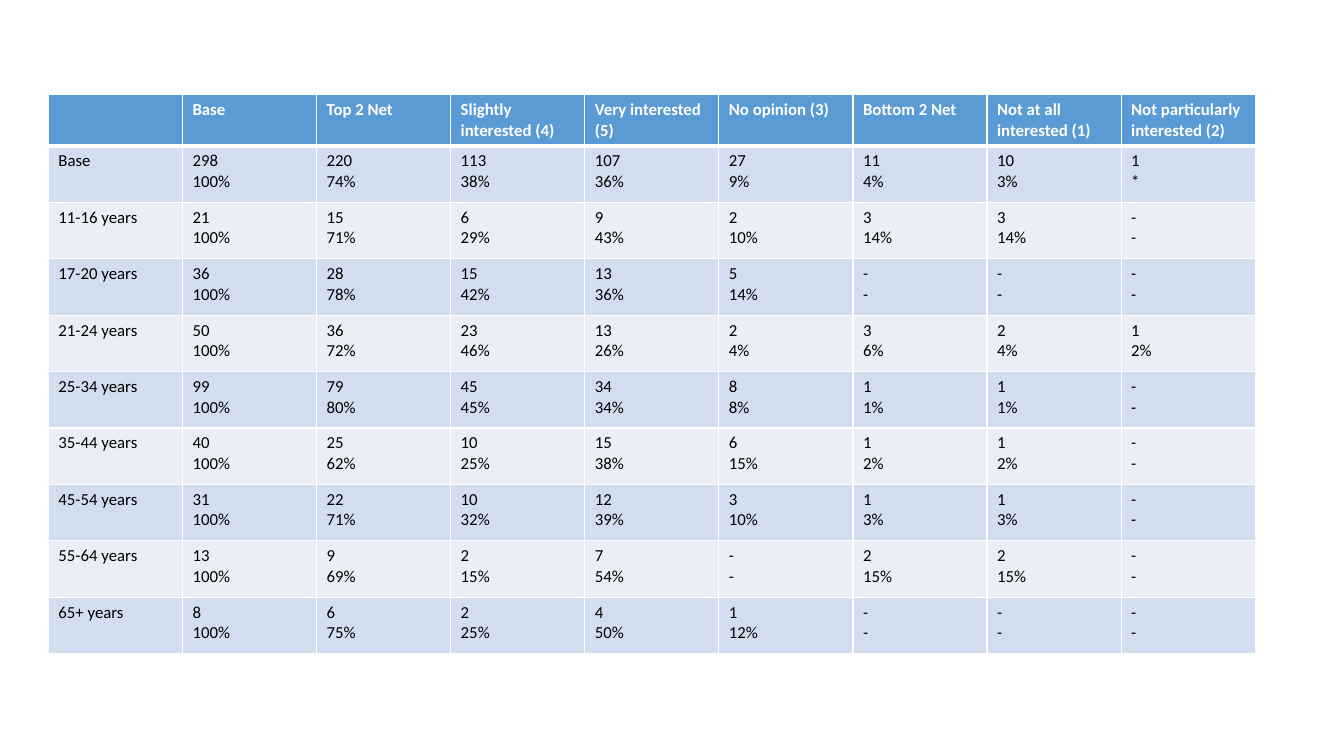
"""Build a slide with a table of interest levels by age group."""
from dataclasses import dataclass

import pptx
import pptx.dml.color
import pptx.oxml
import pptx.oxml.ns
import pptx.table
import pptx.util

SLIDE_WIDTH = pptx.util.Inches(13.33)
SLIDE_HEIGHT = pptx.util.Inches(7.5)
TABLE_LEFT, TABLE_TOP = pptx.util.Inches(0.48), pptx.util.Inches(0.94)
COLUMN_WIDTH = pptx.util.Inches(1.33)
HEADER_HEIGHT = pptx.util.Inches(0.5)
ROW_HEIGHT = pptx.util.Inches(0.56)

WHITE = pptx.dml.color.RGBColor(0xFF, 0xFF, 0xFF)
BLACK = pptx.dml.color.RGBColor(0x00, 0x00, 0x00)
HEADER_BLUE = pptx.dml.color.RGBColor(0x5B, 0x9B, 0xD5)
BANDS = (
    pptx.dml.color.RGBColor(0xD2, 0xDE, 0xEF),
    pptx.dml.color.RGBColor(0xEA, 0xEF, 0xF7),
)


@dataclass(frozen=True)
class AgeGroup:
    """One table row: respondent counts and their shares, column by column."""

    label: str
    counts: str
    shares: str

    def cell_texts(self) -> list[str]:
        """Return the label followed by each count above its share."""
        pairs = zip(self.counts.split(), self.shares.split(), strict=True)
        return [self.label, *(f"{count}\v{share}" for count, share in pairs)]


HEADERS = [
    "", "Base", "Top 2 Net", "Slightly interested (4)", "Very interested (5)",
    "No opinion (3)", "Bottom 2 Net", "Not at all interested (1)",
    "Not particularly interested (2)",
]
AGE_GROUPS = [
    AgeGroup("Base", "298 220 113 107 27 11 10 1", "100% 74% 38% 36% 9% 4% 3% *"),
    AgeGroup("11-16 years", "21 15 6 9 2 3 3 -", "100% 71% 29% 43% 10% 14% 14% -"),
    AgeGroup("17-20 years", "36 28 15 13 5 - - -", "100% 78% 42% 36% 14% - - -"),
    AgeGroup("21-24 years", "50 36 23 13 2 3 2 1", "100% 72% 46% 26% 4% 6% 4% 2%"),
    AgeGroup("25-34 years", "99 79 45 34 8 1 1 -", "100% 80% 45% 34% 8% 1% 1% -"),
    AgeGroup("35-44 years", "40 25 10 15 6 1 1 -", "100% 62% 25% 38% 15% 2% 2% -"),
    AgeGroup("45-54 years", "31 22 10 12 3 1 1 -", "100% 71% 32% 39% 10% 3% 3% -"),
    AgeGroup("55-64 years", "13 9 2 7 - 2 2 -", "100% 69% 15% 54% - 15% 15% -"),
    AgeGroup("65+ years", "8 6 2 4 1 - - -", "100% 75% 25% 50% 12% - - -"),
]


def set_border(cell: pptx.table._Cell, side: str, points: float) -> None:
    """Draw a white border on one side (L, R, T or B) of a cell."""
    namespace = pptx.oxml.ns.nsdecls("a")
    cell._tc.get_or_add_tcPr().append(pptx.oxml.parse_xml(
        f'<a:ln{side} {namespace} w="{pptx.util.Pt(points)}">'
        f'<a:solidFill><a:srgbClr val="{WHITE}"/></a:solidFill></a:ln{side}>'
    ))


def fill_row(table: pptx.table.Table, row: int, texts: list[str]) -> None:
    """Write and format all cells of one row."""
    is_header = row == 0
    for column, text in enumerate(texts):
        cell = table.cell(row, column)
        for side in "LRTB":
            thick = (is_header and side == "B") or (row == 1 and side == "T")
            set_border(cell, side, 3 if thick else 1)
        cell.fill.solid()
        cell.fill.fore_color.rgb = HEADER_BLUE if is_header else BANDS[(row - 1) % 2]
        paragraph = cell.text_frame.paragraphs[0]
        paragraph.text = text
        paragraph.font.name = "Calibri"
        paragraph.font.size = pptx.util.Pt(12)
        paragraph.font.bold = is_header
        paragraph.font.color.rgb = WHITE if is_header else BLACK


def add_interest_table(slide: pptx.slide.Slide) -> None:
    """Add the table of interest levels to the slide."""
    rows = [HEADERS, *(group.cell_texts() for group in AGE_GROUPS)]
    table = slide.shapes.add_table(
        len(rows), len(HEADERS), TABLE_LEFT, TABLE_TOP,
        COLUMN_WIDTH * len(HEADERS), HEADER_HEIGHT + ROW_HEIGHT * len(AGE_GROUPS),
    ).table
    for column in table.columns:
        column.width = COLUMN_WIDTH
    for index, texts in enumerate(rows):
        table.rows[index].height = ROW_HEIGHT if index else HEADER_HEIGHT
        fill_row(table, index, texts)


presentation = pptx.Presentation()
presentation.slide_width = SLIDE_WIDTH
presentation.slide_height = SLIDE_HEIGHT
BLANK_LAYOUT = presentation.slide_layouts[6]
add_interest_table(presentation.slides.add_slide(BLANK_LAYOUT))
presentation.save("out.pptx")
